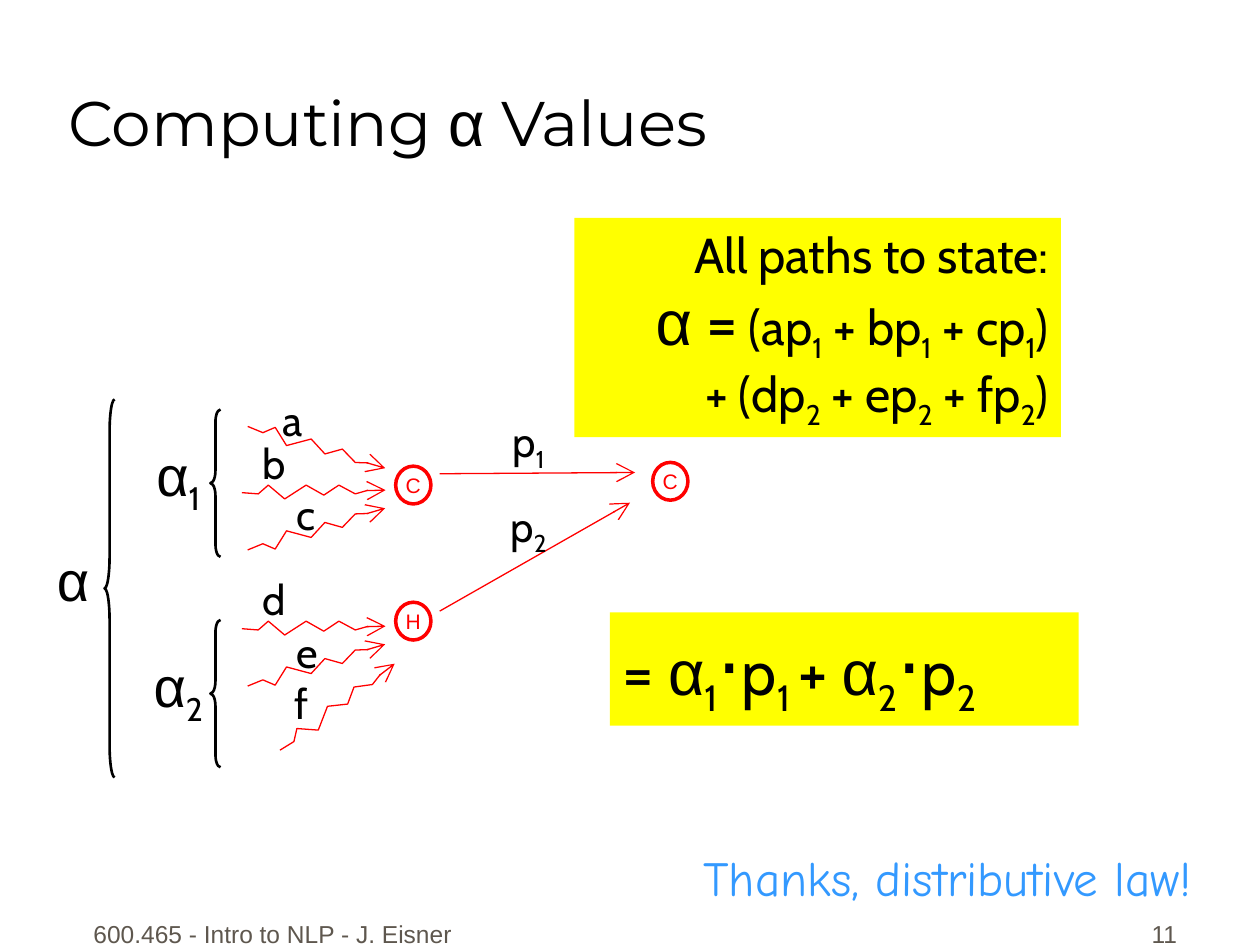
from dataclasses import dataclass
from itertools import groupby

from lxml import etree
from pptx import Presentation
from pptx.dml.color import RGBColor
from pptx.enum.shapes import MSO_CONNECTOR, MSO_SHAPE
from pptx.enum.text import MSO_ANCHOR, MSO_AUTO_SIZE, PP_ALIGN
from pptx.oxml.ns import qn
from pptx.util import Inches, Pt

LEFT, CENTER, RIGHT = PP_ALIGN.LEFT, PP_ALIGN.CENTER, PP_ALIGN.RIGHT
TOP, MIDDLE, BOTTOM = MSO_ANCHOR.TOP, MSO_ANCHOR.MIDDLE, MSO_ANCHOR.BOTTOM


@dataclass(frozen=True)
class Theme:
    black: RGBColor = RGBColor(0, 0, 0)
    red: RGBColor = RGBColor(0xFF, 0, 0)
    yellow: RGBColor = RGBColor(0xFF, 0xFF, 0)
    blue: RGBColor = RGBColor(0x33, 0x99, 0xFF)
    gray: RGBColor = RGBColor(0x5E, 0x57, 0x4E)
    heading_font: str = "Montserrat"
    body_font: str = "Cabin"
    plain_font: str = "Arial"
    note_font: str = "Comic Neue"
    title_size: int = 36
    formula_size: int = 28
    dot_size: int = 44
    brace_size: int = 32
    label_size: int = 24
    footer_size: int = 14
    state_size: int = 12


THEME = Theme()

# One zigzag path, left to right, in hundredths of an inch.
ZIGZAG = [(0, 6), (13, 7), (21, 0), (34, 11), (51, 0),
          (65, 8), (77, 0), (90, 7), (104, 3), (114, 4)]


def write_markup(paragraph, markup, size, font=THEME.body_font, color=THEME.black):
    """Add runs; text in braces is subscript, Greek letters and dots use the plain font."""
    for index, part in enumerate(markup.replace("}", "{").split("{")):
        for kind, group in groupby(part, lambda char: char if char in "α⋅\n" else ""):
            if kind == "\n":
                paragraph.add_line_break()
                continue
            run = paragraph.add_run()
            run.text = "".join(group)
            run.font.name = THEME.plain_font if kind else font
            run.font.size = Pt(THEME.dot_size if kind == "⋅" else size)
            run.font.color.rgb = color
            if index % 2:
                run._r.get_or_add_rPr().set("baseline", "-25000")


def add_text(shapes, box, markup, size, font=THEME.body_font, color=THEME.black,
             align=CENTER, anchor=TOP, wrap=False):
    shape = shapes.add_textbox(*map(Inches, box))
    frame = shape.text_frame
    frame.word_wrap = wrap
    frame.vertical_anchor = anchor
    paragraph = frame.paragraphs[0]
    paragraph.alignment = align
    write_markup(paragraph, markup, size, font, color)
    return shape


def add_formula_box(shapes, box, paragraphs, align):
    """Yellow box; each paragraph is a list of (markup, size) pieces."""
    shape = shapes.add_textbox(*map(Inches, box))
    shape.fill.solid()
    shape.fill.fore_color.rgb = THEME.yellow
    frame = shape.text_frame
    frame.word_wrap = True
    for index, pieces in enumerate(paragraphs):
        paragraph = frame.add_paragraph() if index else frame.paragraphs[0]
        paragraph.alignment = align
        for markup, size in pieces:
            write_markup(paragraph, markup, size)


def style_arrow(shape):
    shape.line.color.rgb = THEME.red
    shape.line.width = Pt(0.75)
    etree.SubElement(shape.line._get_or_add_ln(), qn("a:tailEnd"),
                     type="arrow", w="lg", len="lg")


def add_arrow(shapes, start, end):
    arrow = shapes.add_connector(MSO_CONNECTOR.STRAIGHT, *map(Inches, start + end))
    style_arrow(arrow)
    etree.SubElement(arrow._element.spPr, qn("a:effectLst"))


def add_zigzag(shapes, left, top, rotation=0, mirrored=False):
    points = [(x, 11 - y if mirrored else y) for x, y in ZIGZAG]
    builder = shapes.build_freeform(*points[0], scale=Inches(0.01))
    builder.add_line_segments(points[1:], close=False)
    shape = builder.convert_to_shape(Inches(left), Inches(top))
    shape.rotation = rotation
    shape.fill.background()
    shape.shadow.inherit = False
    style_arrow(shape)


def add_state(shapes, left, top, letter):
    shape = shapes.add_shape(MSO_SHAPE.OVAL, Inches(left), Inches(top),
                             Inches(0.28), Inches(0.3))
    shape.shadow.inherit = False
    shape.fill.background()
    shape.line.color.rgb = THEME.red
    shape.line.width = Pt(2)
    frame = shape.text_frame
    frame.word_wrap = False
    frame.vertical_anchor = MIDDLE
    frame.paragraphs[0].alignment = CENTER
    write_markup(frame.paragraphs[0], letter, THEME.state_size,
                 THEME.plain_font, THEME.red)


def add_labelled_brace(slide, left, top, height, label, label_box):
    shapes = slide.shapes.add_group_shape().shapes
    width = 0.08
    brace = shapes.add_shape(MSO_SHAPE.LEFT_BRACE, Inches(left), Inches(top),
                             Inches(width), Inches(height))
    brace.adjustments[0] = height / 12 / width
    brace.shadow.inherit = False
    brace.fill.background()
    brace.line.color.rgb = THEME.black
    brace.line.width = Pt(1.5)
    add_text(shapes, label_box, label, THEME.brace_size)


def add_title(slide, markup):
    title = slide.shapes.title
    title.left, title.top, title.width, title.height = map(Inches, (0.44, 0.06, 9.31, 1.25))
    frame = title.text_frame
    frame.auto_size = MSO_AUTO_SIZE.NONE
    frame.vertical_anchor = BOTTOM
    frame.paragraphs[0].alignment = LEFT
    write_markup(frame.paragraphs[0], markup, THEME.title_size, THEME.heading_font)


def main():
    presentation = Presentation()
    presentation.slide_width, presentation.slide_height = Inches(10), Inches(7.5)
    slide = presentation.slides.add_slide(presentation.slide_layouts[5])
    shapes = slide.shapes
    add_title(slide, "Computing α Values")

    for box, text, align in (
            ((0.58, 7.08, 3.17, 0.5), "600.465 - Intro to NLP - J. Eisner", CENTER),
            ((7.36, 7.08, 2.08, 0.5), "11", RIGHT)):
        add_text(shapes, box, text, THEME.footer_size, THEME.plain_font,
                 THEME.gray, align, BOTTOM, wrap=True)

    for left, top, letter in ((3.14, 3.7, "C"), (3.14, 4.78, "H"), (5.18, 3.67, "C")):
        add_state(shapes, left, top, letter)
    add_arrow(shapes, (3.49, 3.76), (5.04, 3.75))
    add_arrow(shapes, (3.49, 4.85), (5, 3.99))

    add_zigzag(shapes, 1.94, 3.5, 17.9)
    for top in (3.85, 4.93):
        add_zigzag(shapes, 1.92, top)
        add_zigzag(shapes, 1.94, top + 0.29, -17.9, mirrored=True)
    add_zigzag(shapes, 2.11, 5.56, -36)

    for left, top, width, label in (
            (2.13, 3.08, 0.38, "a"), (1.98, 3.42, 0.4, "b"), (2.25, 3.83, 0.36, "c"),
            (1.98, 4.5, 0.4, "d"), (2.24, 4.92, 0.39, "e"), (2.24, 5.33, 0.31, "f"),
            (3.94, 3.25, 0.51, "p{1}"), (3.94, 3.92, 0.51, "p{2}")):
        height = 0.56 if "{" in label else 0.5
        add_text(shapes, (left, top, width, height), label, THEME.label_size)

    add_labelled_brace(slide, 0.83, 3.17, 3, "α", (0.34, 4.28, 0.48, 0.64))
    for top, label in ((3.25, "α{1}"), (4.92, "α{2}")):
        add_labelled_brace(slide, 1.67, top, 1.17, label, (1.1, top + 0.2, 0.63, 0.71))

    add_formula_box(shapes, (4.56, 1.73, 3.86, 1.74), [
        [("All paths to state:", THEME.formula_size)],
        [("α =", THEME.title_size),
         (" (ap{1} + bp{1} + cp{1})\n+ (dp{2} + ep{2} + fp{2})", THEME.formula_size)],
    ], RIGHT)
    add_formula_box(shapes, (4.84, 4.86, 3.72, 0.9),
                    [[("= α{1}⋅p{1 }+ α{2}⋅p{2}", THEME.title_size)]], LEFT)
    add_text(shapes, (5.48, 6.68, 4.08, 0.57), "Thanks, distributive law!",
             THEME.formula_size, THEME.note_font, THEME.blue)

    presentation.save("out.pptx")


if __name__ == "__main__":
    main()
